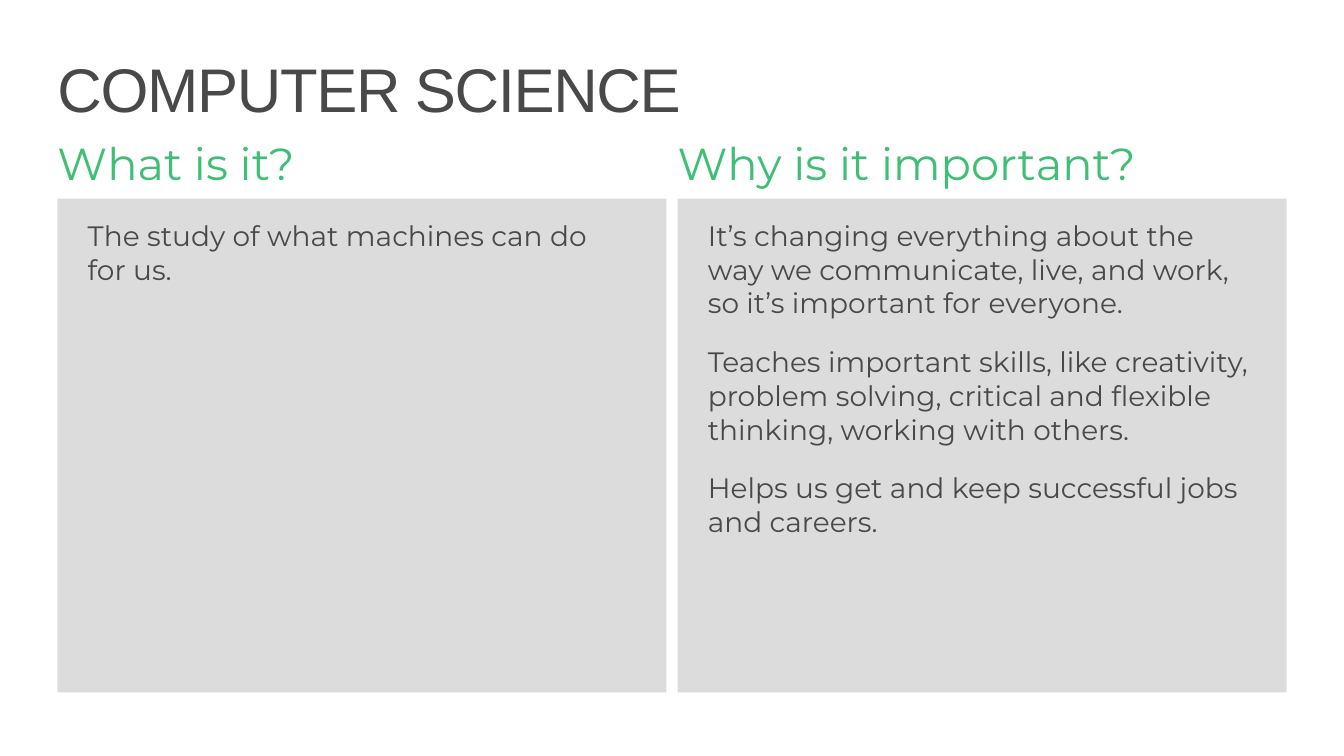
from pptx import Presentation, util as u
from pptx.dml.color import RGBColor
from pptx.enum import text
from pptx.oxml.ns import qn

TITLE = "COMPUTER SCIENCE"
COLUMNS = [
    ("What is it?", ["The study of what machines can do\vfor us."]),
    ("Why is it important?", [
        "It’s changing everything about the way we communicate, live, and work, "
        "so it’s important for everyone.",
        "Teaches important skills, like creativity, problem solving, "
        "critical and flexible thinking, working with others.",
        "Helps us get and keep successful jobs and careers.",
    ]),
]
COLORS = {"ink": "494949", "green": "3FBF73", "panel": "DCDCDC"}
WIDTH, HEIGHT = 13.33, 7.5
MARGIN, GAP = 0.57, 0.11
CONTENT_WIDTH = WIDTH - 2 * MARGIN
COLUMN_WIDTH = (CONTENT_WIDTH - GAP) / 2
HEADING_WIDTH = 5.88
TITLE_ROW, HEADING_ROW, PANEL_ROW = (0.43, 0.87), (1.3, 0.64), (1.97, 4.9)


def fill_box(box, left, row, width, lines, font, size, color,
             insets=(0, 0.05), anchor=text.MSO_ANCHOR.TOP, after=0, spacing=1.0):
    top, height = row
    box.left, box.top, box.width, box.height = map(u.Inches, (left, top, width, height))
    frame = box.text_frame
    frame.text = "\n".join(lines)
    frame.word_wrap = True
    frame.auto_size = text.MSO_AUTO_SIZE.NONE
    frame.vertical_anchor = anchor
    frame.margin_left = frame.margin_right = u.Inches(insets[0])
    frame.margin_top = frame.margin_bottom = u.Inches(insets[1])
    for para in frame.paragraphs:
        para.alignment = text.PP_ALIGN.LEFT
        para.space_before = u.Pt(0)
        para.space_after = u.Pt(after)
        para.line_spacing = spacing
        props = para._p.get_or_add_pPr()
        props.set("marL", "0")
        props.set("indent", "0")
        props.append(props.makeelement(qn("a:buNone"), {}))
        para.font.name = font
        para.font.size = u.Pt(size)
        para.font.bold = False
        para.font.color.rgb = RGBColor.from_string(COLORS[color])


def main():
    deck = Presentation()
    deck.slide_width, deck.slide_height = u.Inches(WIDTH), u.Inches(HEIGHT)
    page = deck.slides.add_slide(deck.slide_layouts.get_by_name("Comparison"))
    title, *boxes = page.placeholders

    fill_box(title, MARGIN, TITLE_ROW, CONTENT_WIDTH, [TITLE], "Arial", 44, "ink",
             anchor=text.MSO_ANCHOR.BOTTOM, spacing=0.9)
    for span in title.text_frame.paragraphs[0].runs:
        span._r.get_or_add_rPr().set("spc", "-100")

    for index, (heading, lines) in enumerate(COLUMNS):
        left = MARGIN + index * (COLUMN_WIDTH + GAP)
        heading_box, panel = boxes[2 * index:2 * index + 2]
        fill_box(heading_box, left, HEADING_ROW, HEADING_WIDTH, [heading],
                 "Montserrat", 32, "green", after=6)
        fill_box(panel, left, PANEL_ROW, COLUMN_WIDTH, lines,
                 "Montserrat", 20, "ink", insets=(0.3, 0.2), after=18)
        panel.fill.solid()
        panel.fill.fore_color.rgb = RGBColor.from_string(COLORS["panel"])

    deck.save("out.pptx")


if __name__ == "__main__":
    main()
